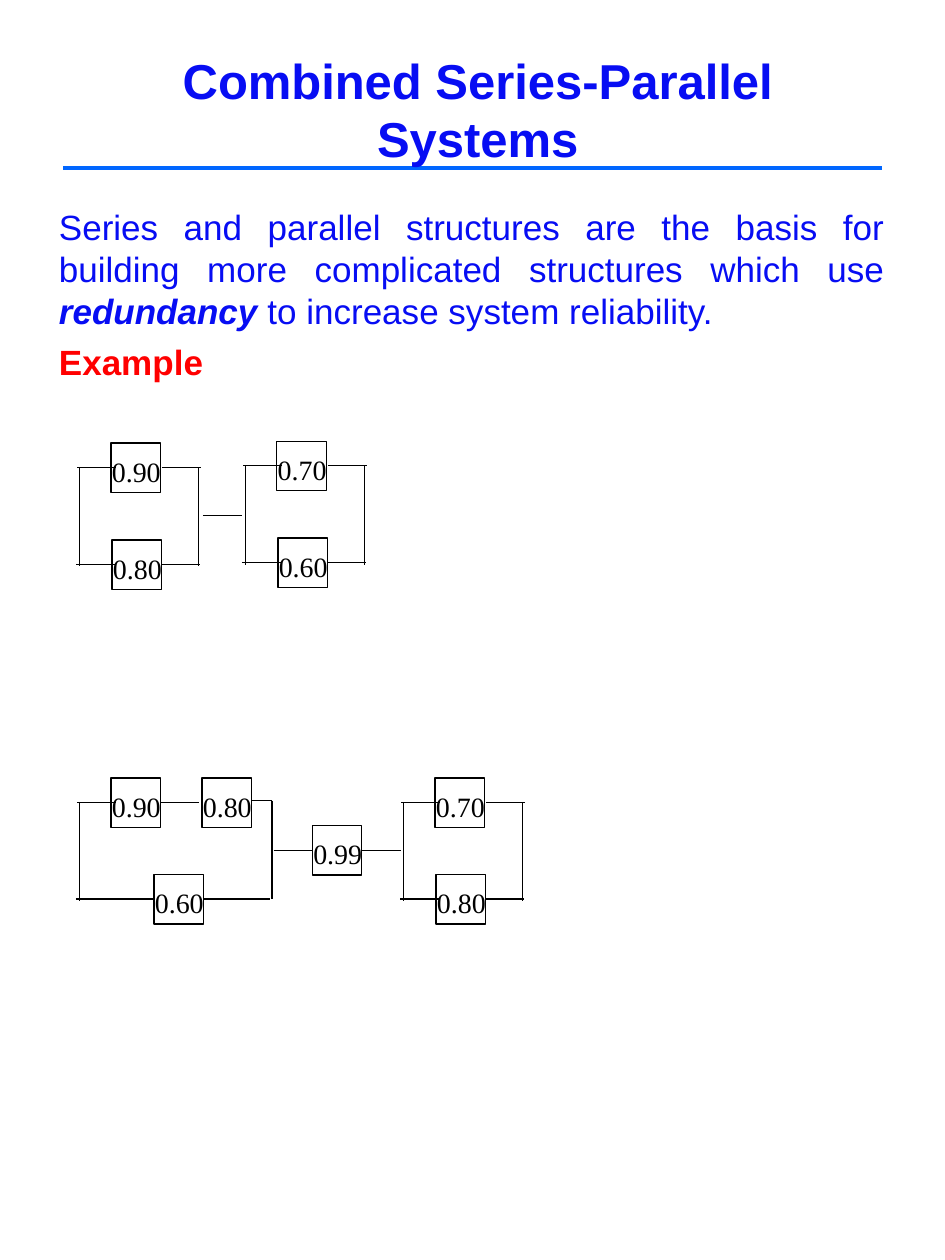
"""Build a slide on combined series-parallel reliability systems."""
from dataclasses import dataclass

from lxml.etree import SubElement
from pptx import Presentation
from pptx.dml.color import RGBColor
from pptx.enum.shapes import MSO_CONNECTOR, MSO_SHAPE
from pptx.enum.text import MSO_ANCHOR, PP_ALIGN
from pptx.oxml.ns import qn
from pptx.util import Pt


@dataclass(frozen=True)
class Theme:
    """Colours, fonts and sizes of the slide."""
    blue: RGBColor = RGBColor(0x07, 0x0D, 0xF3)
    rule: RGBColor = RGBColor(0x00, 0x66, 0xFF)
    red: RGBColor = RGBColor(0xFF, 0x00, 0x00)
    black: RGBColor = RGBColor(0x00, 0x00, 0x00)
    white: RGBColor = RGBColor(0xFF, 0xFF, 0xFF)
    text_font: str = "Arial"
    value_font: str = "Times New Roman"
    title_size: float = 28
    body_size: float = 20
    value_size: float = 16
    rule_width: float = 2.25
    wire_width: float = 0.75
    box_side: float = 28.2


THEME = Theme()


def format_run(run, font, size, color, bold=False, italic=False):
    """Apply character formatting to one run."""
    run.font.name = font
    run.font.size = Pt(size)
    run.font.color.rgb = color
    run.font.bold = bold
    run.font.italic = italic


def add_wire(slide, start, end, color=THEME.black, width=THEME.wire_width):
    """Draw a straight line between two points."""
    points = [Pt(value) for value in (*start, *end)]
    connector = slide.shapes.add_connector(MSO_CONNECTOR.STRAIGHT, *points)
    connector.line.color.rgb = color
    connector.line.width = Pt(width)
    SubElement(connector._element.spPr, qn("a:effectLst"))


def add_component(slide, left, top, reliability):
    """Draw one square component with its reliability."""
    side = Pt(THEME.box_side)
    shape = slide.shapes.add_shape(MSO_SHAPE.RECTANGLE, Pt(left), Pt(top), side, side)
    shape.shadow.inherit = False
    shape.fill.solid()
    shape.fill.fore_color.rgb = THEME.white
    shape.line.color.rgb = THEME.black
    shape.line.width = Pt(THEME.wire_width)
    frame = shape.text_frame
    frame.margin_left, frame.margin_top = Pt(0.5), Pt(6.5)
    frame.margin_right = frame.margin_bottom = 0
    frame.word_wrap = False
    frame.vertical_anchor = MSO_ANCHOR.TOP
    frame.text = reliability
    paragraph = frame.paragraphs[0]
    paragraph.alignment = PP_ALIGN.LEFT
    format_run(paragraph.runs[0], THEME.value_font, THEME.value_size, THEME.black)


def add_parallel_pair(slide, left, top, upper, lower):
    """Draw two parallel components, with the left rail's top end at left, top."""
    bottom = top + 55.3
    add_component(slide, left + 18, top - 14, upper)
    add_component(slide, left + 18.6, bottom - 14, lower)
    for y, shift in ((top, 0), (bottom, -0.6)):
        add_wire(slide, (left - 1.3 + shift, y), (left + 20.8 + shift, y))
        add_wire(slide, (left + 47.4 + shift, y), (left + 69.4 + shift, y))
    for x in (left, left + 68):
        add_wire(slide, (x, top), (x, top + 56.5))


def add_mixed_block(slide, left, top):
    """Draw a two-component series branch in parallel with one component."""
    bottom, right = top + 55.3, left + 110
    add_component(slide, left + 18, top - 14, "0.90")
    add_component(slide, left + 70, top - 14, "0.80")
    add_component(slide, left + 42.6, bottom - 14, "0.60")
    add_wire(slide, (left - 1.3, top), (left + 20.8, top))
    add_wire(slide, (left + 46.2, top), (left + 68.4, top))
    add_wire(slide, (left + 98.6, top - 1), (right, top - 1))
    add_wire(slide, (left - 2, bottom), (left + 42.6, bottom))
    add_wire(slide, (left + 71, bottom), (left + 108.8, bottom))
    add_wire(slide, (left, top), (left, top + 56.5))
    add_wire(slide, (right, top - 1), (right, bottom))


def add_textbox(slide, left, top, width, height):
    """Add a wrapping text box and return its text frame."""
    box = slide.shapes.add_textbox(Pt(left), Pt(top), Pt(width), Pt(height))
    box.text_frame.word_wrap = True
    return box.text_frame


def add_title(slide):
    """Add the title and the rule below it."""
    add_wire(slide, (36, 96), (504, 96), THEME.rule, THEME.rule_width)
    frame = add_textbox(slide, 42, 28.8, 462, 67)
    frame.vertical_anchor = MSO_ANCHOR.MIDDLE
    frame.text = "Combined Series-Parallel Systems"
    paragraph = frame.paragraphs[0]
    paragraph.alignment = PP_ALIGN.CENTER
    format_run(paragraph.runs[0], THEME.text_font, THEME.title_size, THEME.blue, bold=True)


def add_body(slide):
    """Add the explanation and the example heading."""
    frame = add_textbox(slide, 26.6, 113.8, 486, 545.8)
    explanation = frame.paragraphs[0]
    explanation.alignment = PP_ALIGN.JUSTIFY
    parts = (
        ("Series and parallel structures are the basis for building more "
         "complicated structures which use ", False),
        ("redundancy", True),
        (" to increase system reliability.", False),
    )
    for text, stressed in parts:
        run = explanation.add_run()
        run.text = text
        format_run(run, THEME.text_font, THEME.body_size, THEME.blue, stressed, stressed)
    heading = frame.add_paragraph()
    heading.text = "Example"
    format_run(heading.runs[0], THEME.text_font, THEME.body_size, THEME.red, bold=True)
    for paragraph in frame.paragraphs:
        paragraph.space_before = Pt(5)


def add_first_system(slide):
    """Draw two parallel pairs in series."""
    add_parallel_pair(slide, 45.4, 267.2, "0.90", "0.80")
    add_parallel_pair(slide, 140.2, 266.2, "0.70", "0.60")
    add_wire(slide, (116, 294.6), (138.2, 294.6))


def add_second_system(slide):
    """Draw a mixed block, one component and a parallel pair in series."""
    top, middle = 458.5, 486
    add_mixed_block(slide, 45.4, top)
    add_component(slide, 178.5, middle - 14.2, "0.99")
    add_parallel_pair(slide, 230.6, top, "0.70", "0.80")
    add_wire(slide, (156.4, middle), (178.5, middle))
    add_wire(slide, (206.7, middle), (228.9, middle))


def main():
    """Build and save the presentation."""
    presentation = Presentation()
    presentation.slide_width, presentation.slide_height = Pt(540), Pt(720)
    slide = presentation.slides.add_slide(presentation.slide_layouts[6])
    add_title(slide)
    add_body(slide)
    add_first_system(slide)
    add_second_system(slide)
    presentation.save("out.pptx")


if __name__ == "__main__":
    main()
